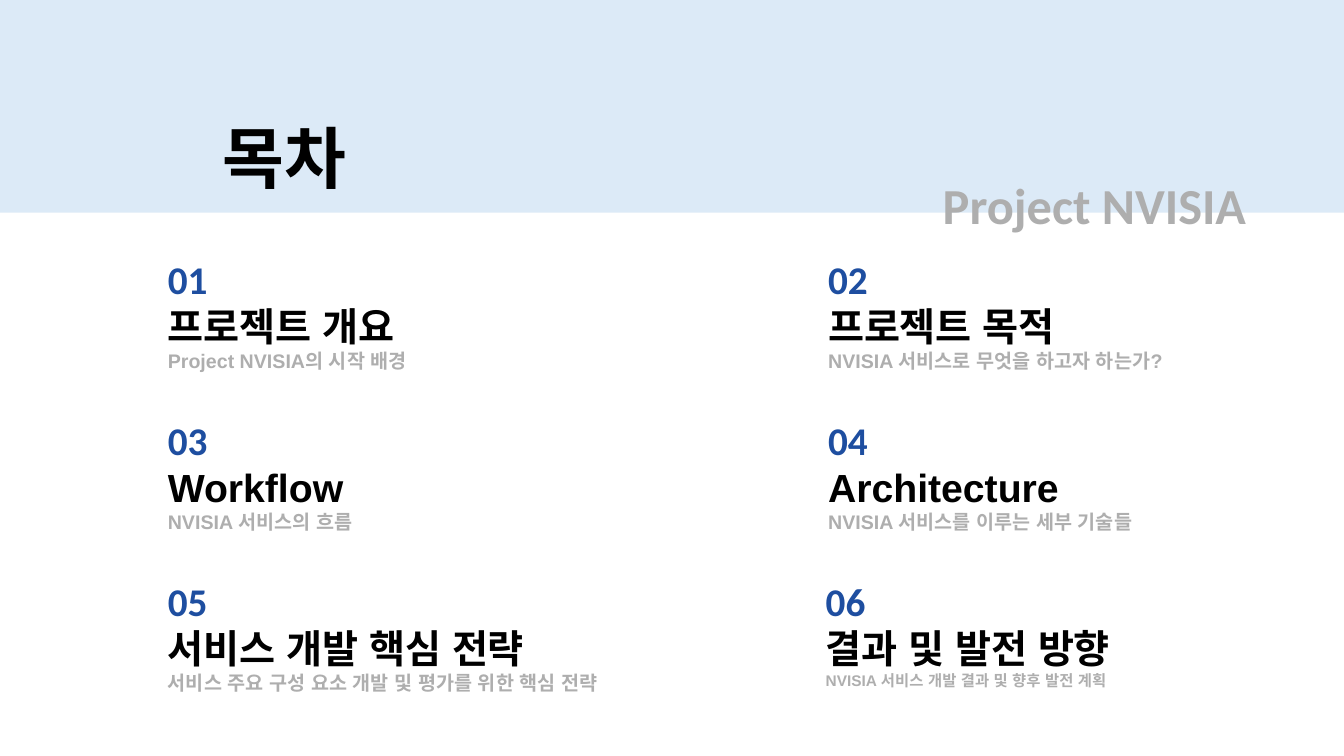
from dataclasses import dataclass

from lxml import etree
from pptx import Presentation
from pptx import util as u
from pptx.dml.color import RGBColor
from pptx.enum import shapes, text
from pptx.oxml import ns

PALE_BLUE = RGBColor(0xDC, 0xEA, 0xF7)
NUMBER_BLUE = RGBColor(0x1E, 0x4E, 0xA0)
GREY = RGBColor(0xAE, 0xAE, 0xAE)
BLACK = RGBColor(0, 0, 0)
WHITE = RGBColor(0xFF, 0xFF, 0xFF)

SLIDE_WIDTH, SLIDE_HEIGHT = 33.87, 19.05
COLUMN_LEFTS = (3.98, 20.62)
FIRST_TOP, ROW_STEP = 6.3, 4.06


@dataclass(frozen=True)
class Band:
    top: float
    height: float
    color: RGBColor


@dataclass(frozen=True)
class Line:
    wording: str
    size: float
    font: str
    color: RGBColor


@dataclass(frozen=True)
class Chapter:
    title: str
    summary: str
    summary_size: float = 14
    shift: float = 0
    width: float = 10.34


BANDS = (Band(-0.36, 8.66, PALE_BLUE), Band(5.36, 3.2, WHITE))
CHAPTERS = (
    Chapter("프로젝트 개요", "Project NVISIA의 시작 배경"),
    Chapter("프로젝트 목적", "NVISIA 서비스로 무엇을 하고자 하는가?"),
    Chapter("Workflow", "NVISIA 서비스의 흐름"),
    Chapter("Architecture", "NVISIA 서비스를 이루는 세부 기술들"),
    Chapter("서비스 개발 핵심 전략", "서비스 주요 구성 요소 개발 및 평가를 위한 핵심 전략",
            width=11.99),
    Chapter("결과 및 발전 방향", "NVISIA 서비스 개발 결과 및 향후 발전 계획",
            summary_size=11, shift=-0.06),
)


def add_band(slide, band: Band) -> None:
    stripe = slide.shapes.add_shape(shapes.MSO_SHAPE.RECTANGLE, 0, u.Cm(band.top),
                                    u.Cm(SLIDE_WIDTH), u.Cm(band.height))
    stripe.shadow.inherit = False
    stripe.fill.solid()
    stripe.fill.fore_color.rgb = band.color
    stripe.line.fill.background()


def format_run(run, line: Line) -> None:
    """Style a run, using the same typeface for Latin and Korean letters."""
    run.font.size = u.Pt(line.size)
    run.font.bold = True
    run.font.color.rgb = line.color
    run.font.name = line.font
    etree.SubElement(run._r.get_or_add_rPr(), ns.qn("a:ea"), typeface=line.font)


def add_lines(slide, left: float, top: float, width: float, height: float,
              lines: tuple[Line, ...], spacing: float = 1.0,
              align: text.PP_ALIGN = text.PP_ALIGN.LEFT) -> None:
    """Add a text box with one bold paragraph per line; lengths in cm."""
    frame = slide.shapes.add_textbox(u.Cm(left), u.Cm(top),
                                     u.Cm(width), u.Cm(height)).text_frame
    frame.word_wrap = True
    frame.auto_size = text.MSO_AUTO_SIZE.SHAPE_TO_FIT_TEXT
    frame.text = "\n".join(line.wording for line in lines)
    for paragraph, line in zip(frame.paragraphs, lines):
        paragraph.alignment = align
        paragraph.line_spacing = spacing
        for run in paragraph.runs:
            format_run(run, line)


def add_chapter(slide, index: int, chapter: Chapter) -> None:
    row, column = divmod(index, len(COLUMN_LEFTS))
    add_lines(slide, COLUMN_LEFTS[column] + chapter.shift,
              FIRST_TOP + row * ROW_STEP, chapter.width, 3.25, (
                  Line(f"{index + 1:02}", 28, "Calibri", NUMBER_BLUE),
                  Line(chapter.title, 28, "Arial", BLACK),
                  Line(chapter.summary, chapter.summary_size, "Arial", GREY),
              ))


def main() -> None:
    deck = Presentation()
    deck.slide_width, deck.slide_height = u.Cm(SLIDE_WIDTH), u.Cm(SLIDE_HEIGHT)
    contents = deck.slides.add_slide(deck.slide_layouts[6])
    for band in BANDS:
        add_band(contents, band)
    add_lines(contents, 5.36, 1.8, 4.01, 2.97,
              (Line("목차", 48, "Arial", BLACK),), spacing=1.5)
    add_lines(contents, 21.32, 3.51, 10.34, 2.34,
              (Line("Project NVISIA", 36, "Calibri", GREY),), spacing=1.5,
              align=text.PP_ALIGN.RIGHT)
    for index, chapter in enumerate(CHAPTERS):
        add_chapter(contents, index, chapter)
    deck.save("out.pptx")


if __name__ == "__main__":
    main()
